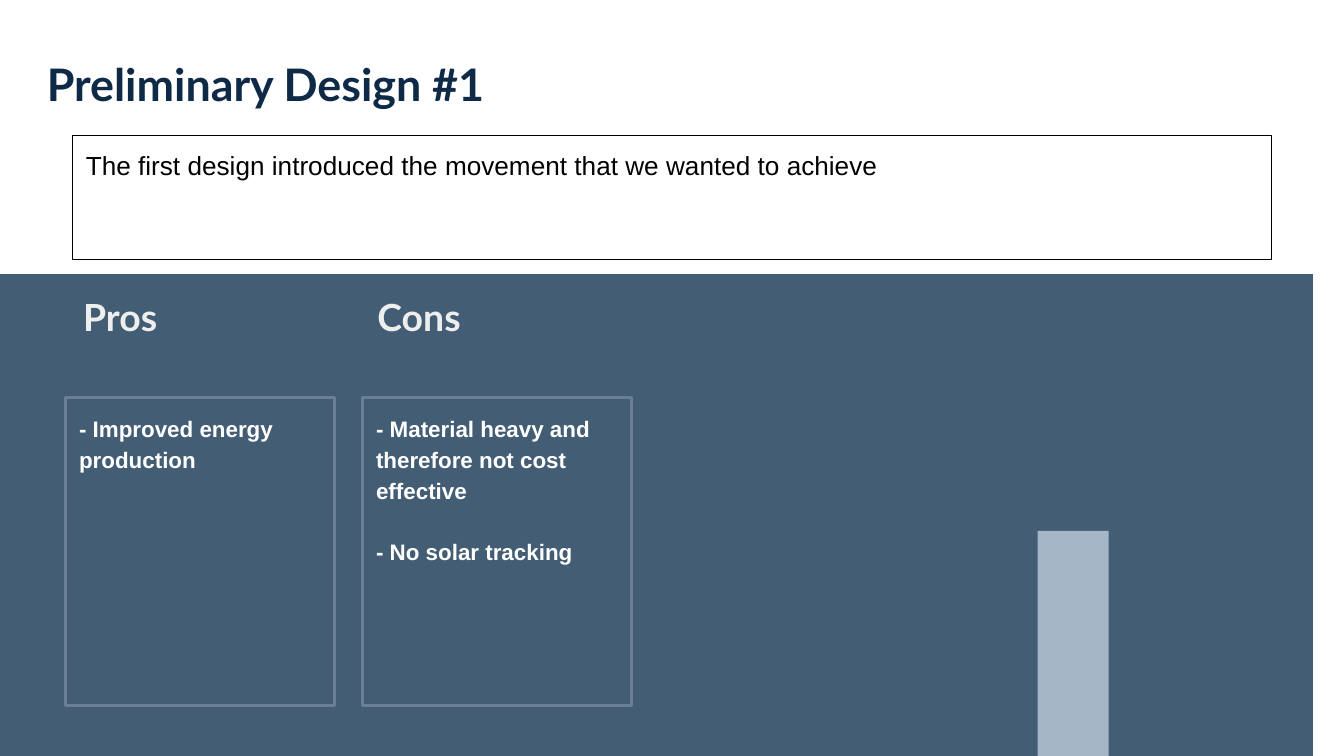
from pptx import Presentation
from pptx.dml.color import RGBColor
from pptx.enum import shapes, text
from pptx.util import Inches, Pt

WIDTH = 10
HEIGHT = WIDTH * 9 / 16
NAVY, SLATE, MIST, EDGE = "0E2A47", "435D74", "A5B7C6", "6C7E95"
WHITE, PALE, BLACK = "FFFFFF", "EEEEEE", "000000"

TITLE = "Preliminary Design #1"
SUMMARY = "The first design introduced the movement that we wanted to achieve"
COLUMNS = [
    ("Pros", 0.52, 2, ["- Improved energy production"]),
    ("Cons", 2.71, 1.97, ["- Material heavy and therefore not cost effective",
                          "- No solar tracking"]),
]
BAND_TOP, BAR_TOP = 2.04, 3.95
CARD_LEFT, CARD_TOP, CARD_W, CARD_H, CARD_STEP = 0.49, 2.96, 2, 2.29, 2.21


def rgb(value):
    return RGBColor.from_string(value)


def add_rect(s, box, fill=None, line=None, width=0.75):
    sp = s.shapes.add_shape(shapes.MSO_SHAPE.RECTANGLE, *map(Inches, box))
    sp.shadow.inherit = False
    if fill:
        sp.fill.solid()
        sp.fill.fore_color.rgb = rgb(fill)
    else:
        sp.fill.background()
    if line:
        sp.line.color.rgb = rgb(line)
        sp.line.width = Pt(width)
    else:
        sp.line.fill.background()
    return sp


def write(sp, lines, size, color, font="Arial", bold=False,
          anchor=text.MSO_ANCHOR.TOP, spacing=None, gap=0):
    tf = sp.text_frame
    tf.word_wrap = True
    tf.vertical_anchor = anchor
    tf.margin_left = tf.margin_right = Inches(0.1)
    tf.margin_top = tf.margin_bottom = Inches(0.1)
    for i, line in enumerate(lines):
        p = tf.paragraphs[0] if i == 0 else tf.add_paragraph()
        p.alignment = text.PP_ALIGN.LEFT
        if spacing:
            p.line_spacing = spacing
        if i and gap:
            p.space_before = Pt(gap)
        r = p.add_run()
        r.text = line
        r.font.name, r.font.size, r.font.bold = font, Pt(size), bold
        r.font.color.rgb = rgb(color)


def add_heading(s, box, line, size, color, anchor=text.MSO_ANCHOR.TOP):
    sp = s.shapes.add_textbox(*map(Inches, box))
    write(sp, [line], size, color, "Lato", True, anchor)


def main():
    prs = Presentation()
    prs.slide_width, prs.slide_height = Inches(WIDTH), Inches(HEIGHT)
    s = prs.slides.add_slide(prs.slide_layouts[6])

    add_rect(s, (0, BAND_TOP, 9.77, HEIGHT - BAND_TOP), SLATE)
    add_rect(s, (7.72, BAR_TOP, 0.53, HEIGHT - BAR_TOP), MIST)
    add_heading(s, (0.25, 0.36, 3.83, 0.53), TITLE, 24, NAVY,
                text.MSO_ANCHOR.MIDDLE)
    summary = add_rect(s, (0.54, 1.01, 8.92, 0.92), line=BLACK)
    write(summary, [SUMMARY], 14, BLACK)

    for i, (heading, left, width, points) in enumerate(COLUMNS):
        add_heading(s, (left, 2.09, width, 0.71), heading, 20, PALE)
        card = add_rect(s, (CARD_LEFT + i * CARD_STEP, CARD_TOP, CARD_W, CARD_H),
                        line=EDGE, width=1.5)
        write(card, points, 12, WHITE, bold=True, spacing=1.15, gap=16)

    prs.save("out.pptx")


if __name__ == "__main__":
    main()
